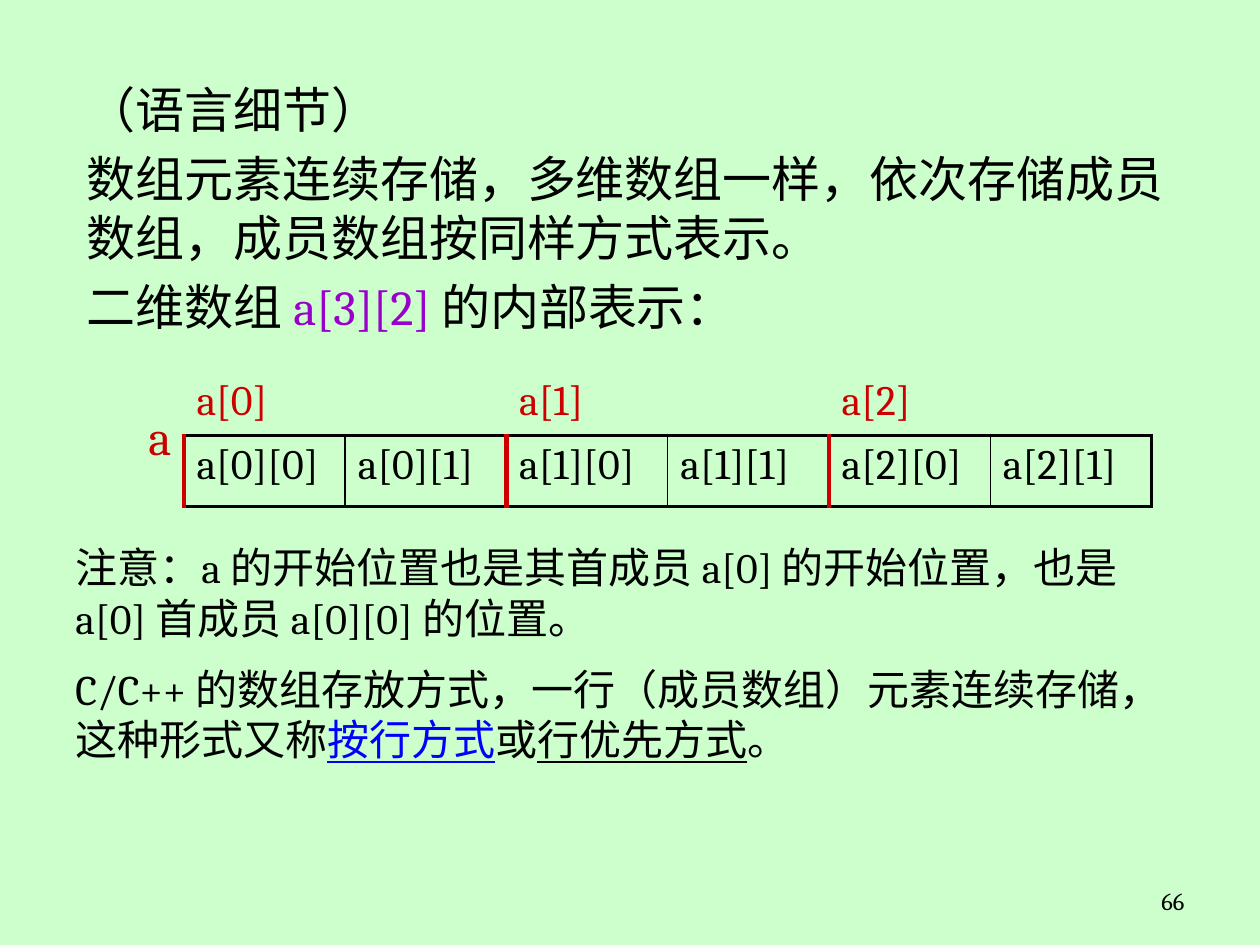
from lxml import etree
from pptx import Presentation
from pptx.dml.color import RGBColor
from pptx.enum.text import MSO_ANCHOR as Anchor, PP_ALIGN as Align
from pptx.oxml.ns import qn
from pptx.util import Inches, Pt

COLORS = {"background": "CCFFCC", "text": "000000", "code": "9900CC",
          "member": "CC0000", "term": "0000FF"}
FONT = "Cambria"
NO_STYLE = "{2D5ABB26-0587-4C30-8999-92F81FD0307C}"
ROWS, COLUMNS = 3, 2

INTRO = [
    [("（语言细节）", "text", False)],
    [("数组元素连续存储，多维数组一样，依次存储成员数组，成员数组按同样方式表示。", "text", False)],
    [("二维数组 ", "text", False), ("a[3][2] ", "code", False), ("的内部表示：", "text", False)],
]
NOTES = [
    [("注意：a 的开始位置也是其首成员 a[0] 的开始位置，也是 a[0] 首成员 a[0][0] 的位置。", "text", False)],
    [("C/C++ 的数组存放方式，一行（成员数组）元素连续存储，这种形式又称", "text", False),
     ("按行方式", "term", True), ("或", "text", False),
     ("行优先方式", "text", True), ("。", "text", False)],
]


def color(name):
    """Return the named colour."""
    return RGBColor.from_string(COLORS[name])


def style(span, size, tone, underline=False):
    """Format one run."""
    span.font.name = FONT
    span.font.size = Pt(size)
    span.font.color.rgb = color(tone)
    if underline:
        span.font.underline = True


def add_text(page, area, paragraphs, size, gap=0, align=Align.LEFT):
    """Place a wrapped text box of formatted paragraphs in the area."""
    frame = page.shapes.add_textbox(*map(Inches, area)).text_frame
    frame.word_wrap = True
    for index, spans in enumerate(paragraphs):
        para = frame.add_paragraph() if index else frame.paragraphs[0]
        para.alignment = align
        para.space_before = Pt(gap if index else 0)
        for text, tone, underline in spans:
            span = para.add_run()
            span.text = text
            style(span, size, tone, underline)


def set_cell(cell, text, size, tone, align=Align.LEFT):
    """Write one formatted cell text."""
    cell.text_frame.text = text
    para = cell.text_frame.paragraphs[0]
    para.alignment = align
    style(para.runs[0], size, tone)


def set_borders(cell, left, right):
    """Draw the four borders of an element cell."""
    outline = ("text", 2.25)
    sides = {"L": left, "R": right, "T": outline, "B": outline}
    properties = cell._tc.get_or_add_tcPr()
    for side, (tone, width) in sides.items():
        line = etree.SubElement(properties, qn(f"a:ln{side}"), w=str(Pt(width)))
        fill = etree.SubElement(line, qn("a:solidFill"))
        etree.SubElement(fill, qn("a:srgbClr"), val=COLORS[tone])


def add_memory_table(page, area):
    """Show the array in memory, with its members above their elements."""
    width, height = area[2:]
    label_width = 0.44
    frame = page.shapes.add_table(2, 1 + ROWS * COLUMNS, *map(Inches, area))
    table = frame.table
    table.first_row = table.horz_banding = False
    frame._element.find(".//" + qn("a:tableStyleId")).text = NO_STYLE
    for index, column in enumerate(table.columns):
        element_width = (width - label_width) / (ROWS * COLUMNS)
        column.width = Inches(element_width if index else label_width)
    for row in table.rows:
        row.height = Inches(height / 2)

    label = table.cell(0, 0)
    label.merge(table.cell(1, 0))
    label.vertical_anchor = Anchor.MIDDLE
    set_cell(label, "a", 28, "member", Align.RIGHT)

    member_edge, thin, outer = ("member", 3), ("text", 1), ("text", 2.25)
    for i in range(ROWS):
        start = 1 + i * COLUMNS
        member = table.cell(0, start)
        member.merge(table.cell(0, start + COLUMNS - 1))
        set_cell(member, f"a[{i}]", 24, "member")
        end = member_edge if i < ROWS - 1 else outer
        for j in range(COLUMNS):
            cell = table.cell(1, start + j)
            set_cell(cell, f"a[{i}][{j}]", 24, "text")
            set_borders(cell, thin if j else member_edge,
                        end if j == COLUMNS - 1 else thin)
    for cell in table.iter_cells():
        cell.fill.background()


def main():
    """Build and save the slide."""
    deck = Presentation()
    deck.slide_width, deck.slide_height = Inches(10), Inches(7.5)
    page = deck.slides.add_slide(deck.slide_layouts[6])
    page.background.fill.solid()
    page.background.fill.fore_color.rgb = color("background")
    add_text(page, (7.17, 6.98, 2.33, 0.37), [[("66", "text", False)]], 14, align=Align.RIGHT)
    add_memory_table(page, (1.02, 2.95, 8.12, 1.01))
    add_text(page, (0.59, 0.58, 8.9, 2.28), INTRO, 28, gap=6)
    add_text(page, (0.5, 4.25, 8.99, 2.73), NOTES, 24, gap=12)
    deck.save("out.pptx")


if __name__ == "__main__":
    main()
